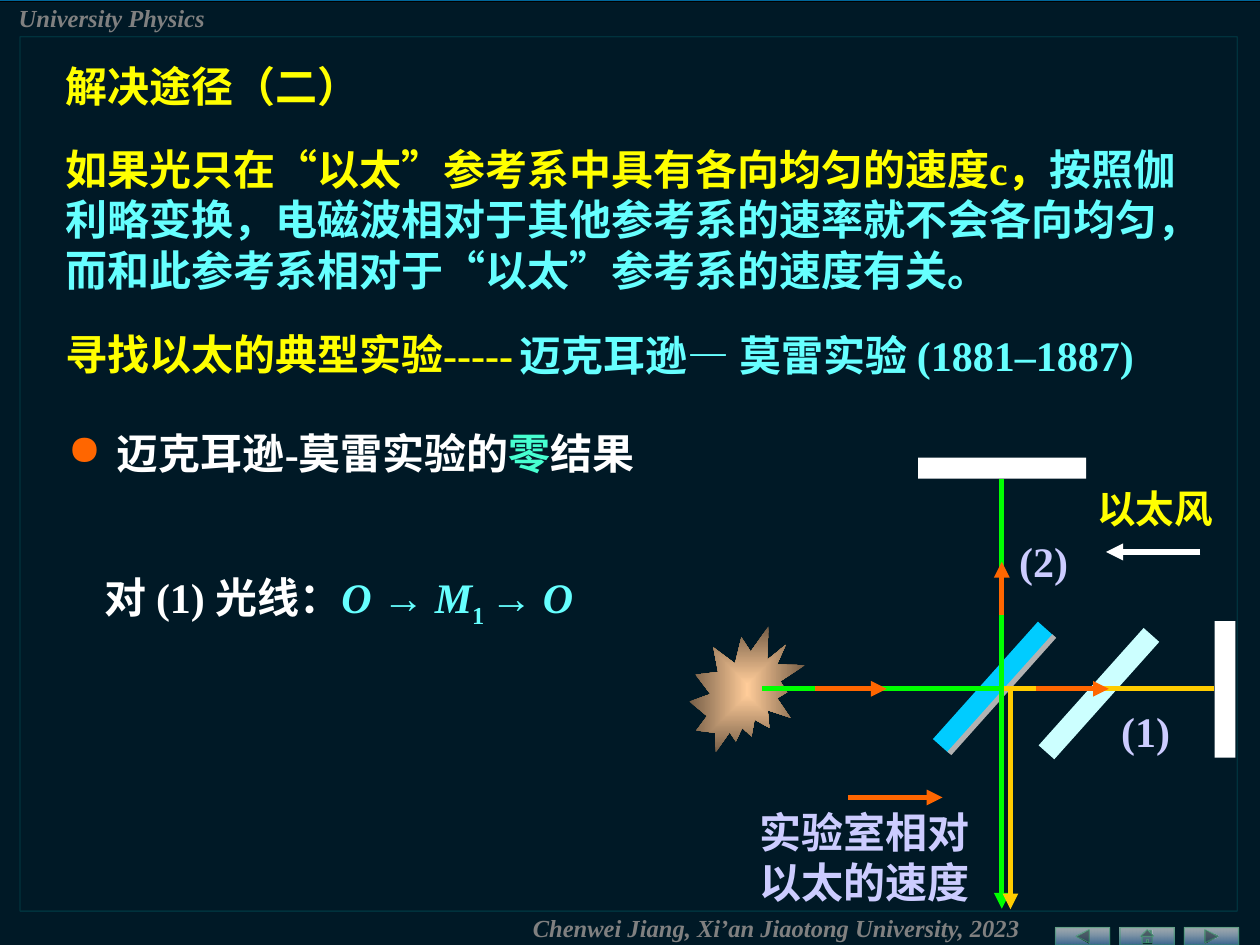
from dataclasses import dataclass

from lxml import etree
from pptx import Presentation, util as u
from pptx.dml.color import RGBColor
from pptx.enum import shapes, text
from pptx.oxml.ns import qn

SHAPE = shapes.MSO_SHAPE


@dataclass(frozen=True)
class Theme:
    font: str = "Times New Roman"
    body: float = 24
    label: float = 22
    small: float = 14
    sea: str = "006699"
    black: str = "000000"
    white: str = "FFFFFF"
    grey: str = "808080"
    yellow: str = "FFFF00"
    cyan: str = "66FFFF"
    mint: str = "47FFD1"
    lilac: str = "CCCCFF"
    orange: str = "FF6600"
    green: str = "00FF00"
    gold: str = "FFCC00"
    splitter: str = "00CCFF"
    coating: str = "B2B2B2"
    compensator: str = "CCFFFF"
    frame: str = "009999"
    button: str = "336699"
    button_edge: str = "339966"
    lamp: str = "FFCC99"
    lamp_edge: str = "765E47"


class Deck:
    """Draws styled elements, measured in points, on the current slide."""

    def __init__(self, theme):
        self.t = theme
        self.prs = Presentation()
        self.prs.slide_width, self.prs.slide_height = u.Pt(720), u.Pt(540)
        self.s = self.prs.slides.add_slide(self.prs.slide_layouts[6])
        fill = self.s.background.fill
        fill.solid()
        fill.fore_color.rgb = RGBColor.from_string(theme.sea)

    def alpha(self, parent, percent):
        for clr in parent.iter(qn("a:srgbClr")):
            etree.SubElement(clr, qn("a:alpha"), val=str(percent * 1000))

    def shape(self, kind, x, y, w, h, fill=None, opacity=100, line=None,
              line_width=0.75, line_opacity=100, rotation=0):
        sp = self.s.shapes.add_shape(kind, u.Pt(x), u.Pt(y), u.Pt(w), u.Pt(h))
        sp.shadow.inherit = False
        sp.rotation = rotation
        if fill:
            sp.fill.solid()
            sp.fill.fore_color.rgb = RGBColor.from_string(fill)
            if opacity < 100:
                self.alpha(sp._element.spPr.find(qn("a:solidFill")), opacity)
        else:
            sp.fill.background()
        if line:
            sp.line.color.rgb = RGBColor.from_string(line)
            sp.line.width = u.Pt(line_width)
            if line_opacity < 100:
                self.alpha(sp._element.spPr.find(qn("a:ln")), line_opacity)
        else:
            sp.line.fill.background()
        return sp

    def gradient(self, sp, stops, radial=False):
        spPr = sp._element.spPr
        grad = etree.Element(qn("a:gradFill"), rotWithShape="1")
        gs_list = etree.SubElement(grad, qn("a:gsLst"))
        for pos, color, opacity in stops:
            gs = etree.SubElement(gs_list, qn("a:gs"), pos=str(pos * 1000))
            etree.SubElement(gs, qn("a:srgbClr"), val=color)
            if opacity < 100:
                self.alpha(gs, opacity)
        if radial:
            shade = etree.SubElement(grad, qn("a:path"), path="shape")
            etree.SubElement(shade, qn("a:fillToRect"),
                             {side: "50000" for side in "ltrb"})
        else:
            etree.SubElement(grad, qn("a:lin"), ang="5400000", scaled="1")
        spPr.replace(spPr.find(qn("a:noFill")), grad)

    def line(self, x1, y1, x2, y2, color, width=3, arrow=False):
        c = self.s.shapes.add_connector(
            shapes.MSO_CONNECTOR.STRAIGHT, u.Pt(x1), u.Pt(y1), u.Pt(x2), u.Pt(y2))
        c.line.color.rgb = RGBColor.from_string(color)
        c.line.width = u.Pt(width)
        if arrow:
            etree.SubElement(c.line._get_or_add_ln(), qn("a:tailEnd"), type="triangle")
        etree.SubElement(c._element.spPr, qn("a:effectLst"))

    def text(self, x, y, w, h, runs, size=None, italic=False, wrap=True, bullet=None):
        tf = self.s.shapes.add_textbox(u.Pt(x), u.Pt(y), u.Pt(w), u.Pt(h)).text_frame
        tf.word_wrap = wrap
        tf.auto_size = text.MSO_AUTO_SIZE.SHAPE_TO_FIT_TEXT
        p = tf.paragraphs[0]
        if bullet:
            pPr = p._p.get_or_add_pPr()
            pPr.set("marL", str(u.Pt(28)))
            pPr.set("indent", str(-u.Pt(28)))
            clr = etree.SubElement(pPr, qn("a:buClr"))
            etree.SubElement(clr, qn("a:srgbClr"), val=bullet)
            etree.SubElement(pPr, qn("a:buChar"), char="●")
        for words, color, *style in runs:
            r = p.add_run()
            r.text = words
            f = r.font
            f.name, f.size, f.bold = self.t.font, u.Pt(size or self.t.body), True
            f.italic = italic or "italic" in style
            f.color.rgb = RGBColor.from_string(color)
            if "sub" in style:
                f._element.set("baseline", "-25000")

    def plate(self, x, y, w, color):
        self.shape(SHAPE.RECTANGLE, x, y, w, 90, color, rotation=41.8)


def draw_frame(d):
    t = d.t
    d.shape(SHAPE.RECTANGLE, -5, 0.7, 726.5, 546.5, t.black, 75, line=t.black)
    buttons = (SHAPE.ACTION_BUTTON_BACK_OR_PREVIOUS, SHAPE.ACTION_BUTTON_HOME,
               SHAPE.ACTION_BUTTON_FORWARD_OR_NEXT)
    for i, kind in enumerate(buttons):
        sp = d.shape(kind, 603.2 + 36.8 * i, 530, 31, 10, line=t.button_edge,
                     line_width=0, line_opacity=52)
        d.gradient(sp, [(0, t.white, 62), (100, t.button, 89)])
    d.shape(SHAPE.RECTANGLE, 11.5, 21, 695.5, 499.7, line=t.frame, line_opacity=20)
    d.text(297.4, 518.4, 391, 24,
           [("Chenwei Jiang, Xi’an Jiaotong University, 2023", t.grey)], t.small, True)
    d.text(3.6, -2, 187, 24, [("University Physics", t.grey)], t.small, True)


def draw_text(d):
    t = d.t
    d.text(290, 185, 403, 36, [("迈克耳逊— 莫雷实验 (1881–1887)", t.cyan)])
    d.text(52.6, 323.3, 358, 36, [
        ("对 (1) 光线：", t.white), ("O ", t.cyan, "italic"), ("→ ", t.cyan),
        ("M", t.cyan, "italic"), ("1 ", t.cyan, "sub"), ("→ ", t.cyan),
        ("O", t.cyan, "italic")])
    d.text(31.7, 240.5, 357, 36, [
        ("迈克耳逊-莫雷实验的", t.white), ("零", t.mint), ("结果", t.white)],
        bullet=t.orange)
    d.text(30.2, 184.3, 273.6, 36, [("寻找以太的典型实验-----", t.yellow)])
    d.text(30.2, 78.5, 664, 94, [
        ("如果光只在“以太”参考系中具有各向均匀的速度c，", t.yellow),
        ("按照伽利略变换，电磁波相对于其他参考系的速率就不会各向均匀，"
         "而和此参考系相对于“以太”参考系的速度有关。", t.cyan)])
    d.text(30.2, 31, 664, 36, [("解决途径（二）", t.yellow)])


def draw_interferometer(d):
    t = d.t
    axis_x, axis_y = 572.5, 393.6
    d.plate(561.6, 347.8, 12, t.splitter)
    d.plate(571, 352, 3, t.coating)
    d.shape(SHAPE.RECTANGLE, 524.6, 261.5, 96, 12, t.white)
    d.shape(SHAPE.RECTANGLE, 694, 355, 12, 78, t.white)
    lamp = d.shape(SHAPE.EXPLOSION2, 394, 358, 66, 72)
    d.gradient(lamp, [(0, t.lamp, 100), (100, t.lamp_edge, 100)], radial=True)
    d.plate(622, 351.4, 12, t.compensator)

    d.line(axis_x, 273.6, axis_x, axis_y, t.green)
    d.line(axis_x, 351.4, axis_x, 321, t.orange, arrow=True)
    d.line(axis_x, axis_y, axis_x, 519.3, t.green, arrow=True)
    d.line(577.4, axis_y, 577.4, 519.6, t.gold, arrow=True)
    d.line(561.6, axis_y, 694, axis_y, t.gold)
    d.line(435.6, axis_y, 573.8, axis_y, t.green)
    for x1, x2, y in ((466, 506.7, axis_y), (592, 633.6, axis_y), (484.6, 538.6, 455.7)):
        d.line(x1, y, x2, y, t.orange, arrow=True)
    d.line(686, 315.4, 632, 315.4, t.white, 3.25, arrow=True)

    d.text(427, 457.2, 150.5, 65.5, [("实验室相对以太的速度", t.lilac)])
    for words, x, y in (("(1)", 633.6, 399.6), ("(2)", 575.3, 302.4)):
        d.text(x, y, 42.5, 36, [(words, t.lilac)], wrap=False)
    d.text(620, 273.6, 120, 34, [("以太风", t.yellow)], t.label)


def main():
    d = Deck(Theme())
    draw_frame(d)
    draw_interferometer(d)
    draw_text(d)
    d.prs.save("out.pptx")


if __name__ == "__main__":
    main()
